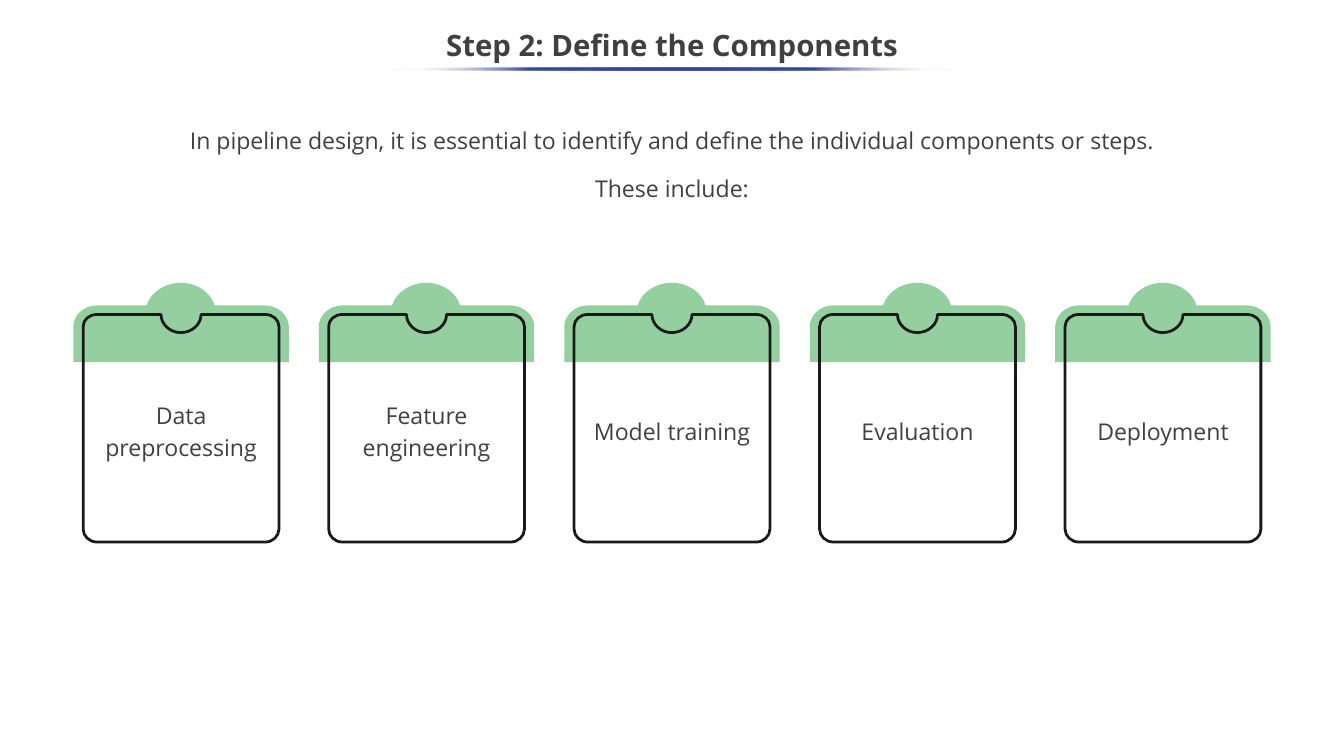
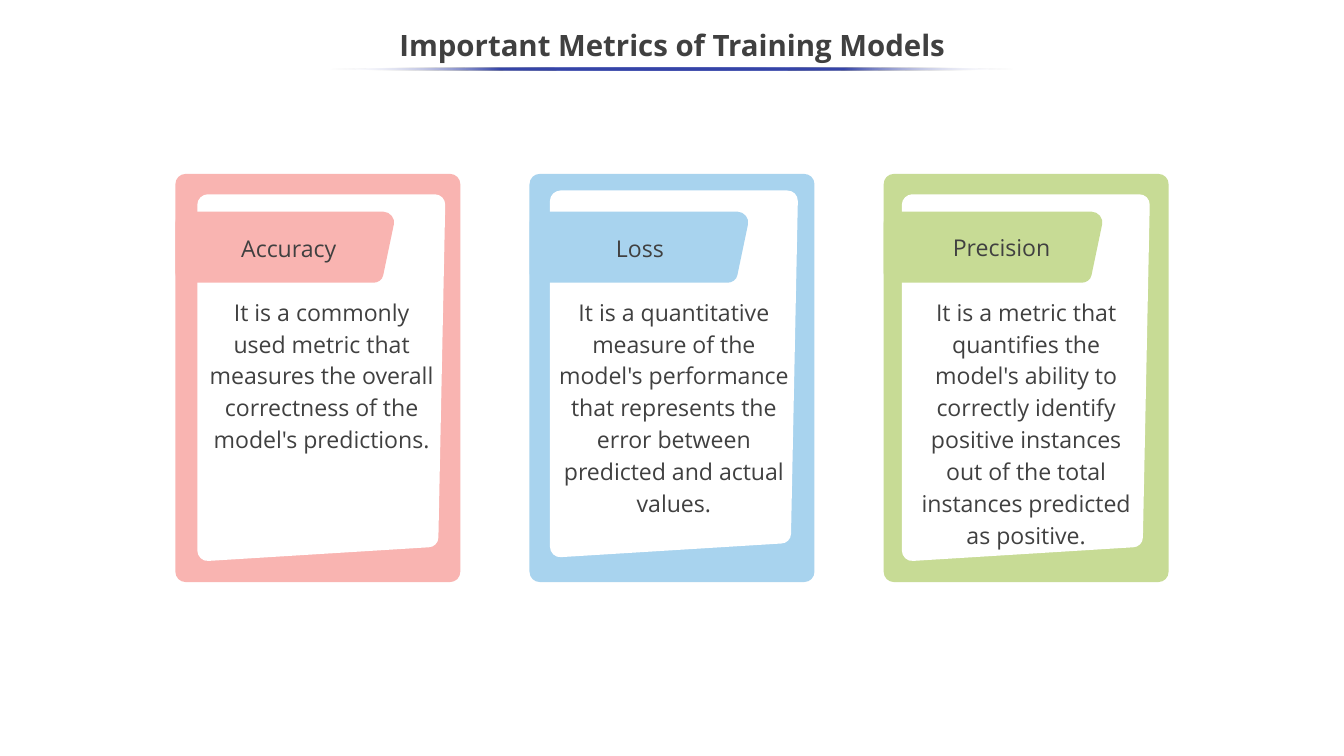
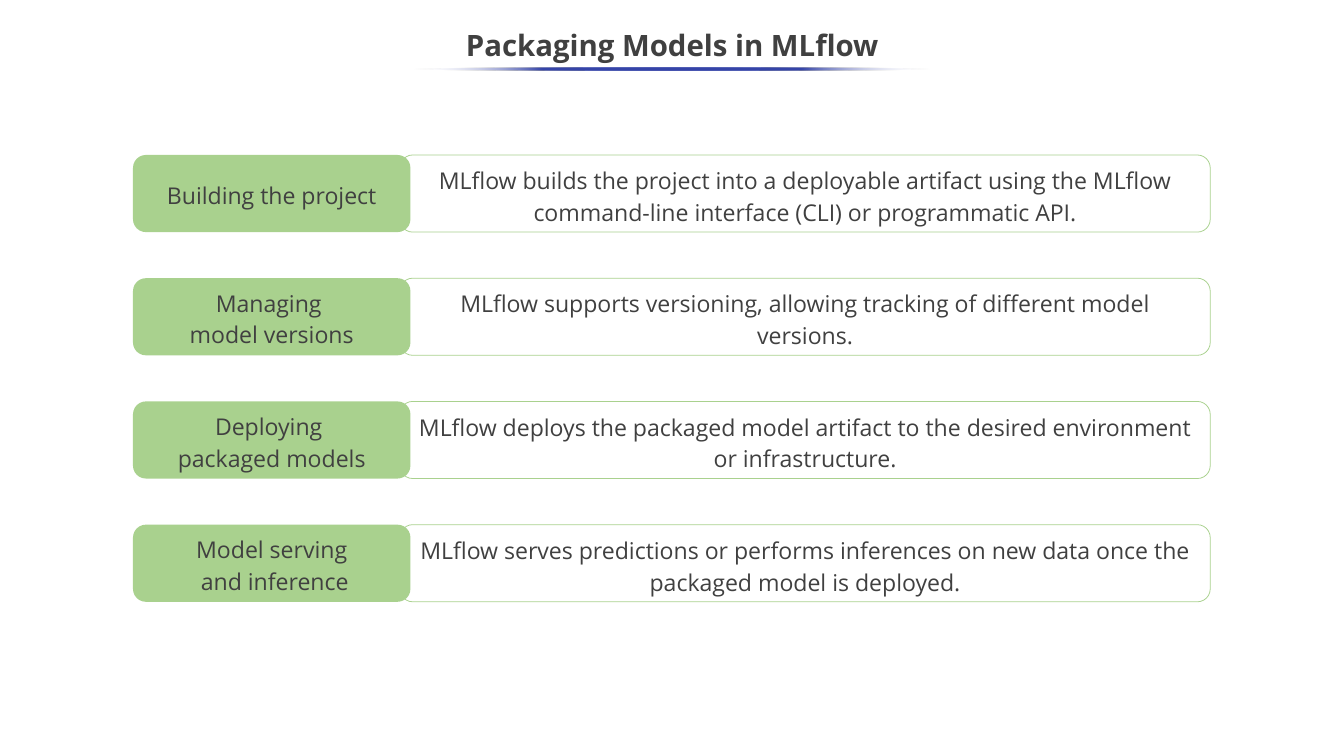
from collections import namedtuple

from lxml.etree import SubElement
from pptx import Presentation
from pptx.dml.color import RGBColor
from pptx.enum.shapes import MSO_SHAPE as Preset
from pptx.enum.text import MSO_ANCHOR as Anchor, MSO_AUTO_SIZE as AutoSize, PP_ALIGN as Align
from pptx.oxml.ns import qn
from pptx.util import Inches, Pt

INK = RGBColor(0x40, 0x40, 0x40)
WHITE = RGBColor(0xFF, 0xFF, 0xFF)
INDIGO = RGBColor(0x36, 0x45, 0xA9)
OUTLINE = RGBColor(0x19, 0x19, 0x19)
CLIP_GREEN = RGBColor(0x93, 0xCF, 0x9F)
ROW_GREEN = RGBColor(0xA9, 0xD1, 0x8E)
PINK = RGBColor(0xF9, 0xB4, 0xB1)
SKY = RGBColor(0xA8, 0xD3, 0xEE)
LIME = RGBColor(0xC7, 0xDB, 0x95)

FONT = "Open Sans"
BODY_SIZE = 22
SLIDE_WIDTH = 17.78

CLIP = [(2.85, 1.05), (2.85, 0.58), (2.85, 0.43, 2.71, 0.3, 2.53, 0.3),
        (1.87, 0.3), (1.82, 0.13, 1.64, 0, 1.42, 0),
        (1.21, 0, 1.02, 0.13, 0.97, 0.3), (0.31, 0.3),
        (0.14, 0.3, 0, 0.43, 0, 0.58), (0, 1.05)]
KNOB = [(0, 0.12), (0, 0.06, 0.06, 0, 0.13, 0), (0.2, 0, 0.26, 0.06, 0.26, 0.12),
        (0.26, 0.18, 0.2, 0.23, 0.13, 0.23), (0.06, 0.23, 0, 0.18, 0, 0.12)]
BOARD = [(2.41, 0), (1.56, 0), (1.56, 0.13, 1.44, 0.24, 1.29, 0.24),
         (1.15, 0.24, 1.03, 0.13, 1.03, 0), (0.18, 0),
         (0.08, 0, 0, 0.07, 0, 0.16), (0, 2.84),
         (0, 2.93, 0.08, 3.01, 0.18, 3.01), (2.41, 3.01),
         (2.51, 3.01, 2.59, 2.93, 2.59, 2.84), (2.59, 0.16),
         (2.59, 0.07, 2.51, 0, 2.41, 0)]
FRAME = [(3.63, 5.4), (0.14, 5.4), (0.06, 5.4, 0, 5.34, 0, 5.26),
         (0, 0.14), (0, 0.06, 0.06, 0, 0.14, 0), (3.63, 0),
         (3.71, 0, 3.77, 0.06, 3.77, 0.14), (3.77, 5.26),
         (3.77, 5.34, 3.71, 5.4, 3.63, 5.4)]
PAGE = [(3.06, 4.67), (0.15, 4.85), (0.07, 4.86, 0, 4.79, 0, 4.71),
        (0, 0.14), (0, 0.06, 0.07, 0, 0.14, 0), (3.14, 0),
        (3.22, 0, 3.28, 0.06, 3.28, 0.14), (3.19, 4.54),
        (3.19, 4.61, 3.13, 4.67, 3.06, 4.67)]
RIBBON = [(2.62, 0.94), (0.14, 0.94), (0.06, 0.94, 0, 0.88, 0, 0.81),
          (0, 0.15), (0, 0.07, 0.06, 0, 0.14, 0), (2.75, 0),
          (2.84, 0, 2.91, 0.09, 2.89, 0.17), (2.75, 0.84),
          (2.74, 0.9, 2.68, 0.94, 2.62, 0.94)]

Metric = namedtuple("Metric", "name meaning color page label body")

COMPONENTS = [("Data preprocessing", 2), ("Feature engineering", 2),
              ("Model training", 1), ("Evaluation", 1), ("Deployment", 1)]
METRICS = [
    Metric("Accuracy",
           "It is a commonly used metric that measures the overall correctness "
           "of the model's predictions.",
           PINK, (0.29, 0.27), (0.51, 0.75, 1.98, 0.47), (0.3, 1.54, 3.27, 2.2)),
    Metric("Loss",
           "It is a quantitative measure of the model's performance that represents "
           "the error between predicted and actual values.",
           SKY, (0.27, 0.22), (0.47, 0.75, 1.98, 0.47), (0.27, 1.54, 3.28, 3.05)),
    Metric("Precision",
           "It is a metric that quantifies the model's ability to correctly identify "
           "positive instances out of the total instances predicted as positive.",
           LIME, (0.24, 0.27), (0.43, 0.74, 2.26, 0.47), (0.35, 1.54, 3.07, 3.48)),
]
STAGES = [
    (["Building the project"],
     "MLflow builds the project into a deployable artifact using the MLflow "
     "command-line interface (CLI) or programmatic API."),
    (["Managing ", "model versions"],
     "MLflow supports versioning, allowing tracking of different model versions."),
    (["Deploying ", "packaged models"],
     "MLflow deploys the packaged model artifact to the desired environment "
     "or infrastructure."),
    (["Model serving", " and inference"],
     "MLflow serves predictions or performs inferences on new data once the "
     "packaged model is deployed."),
]


def paint(shape, fill=None, line=None, line_width=0.75):
    shape.shadow.inherit = False
    if fill is None:
        shape.fill.background()
    else:
        shape.fill.solid()
        shape.fill.fore_color.rgb = fill
    if line is None:
        shape.line.fill.background()
    else:
        shape.line.color.rgb = line
        shape.line.width = Pt(line_width)


def write(shape, lines, size=BODY_SIZE, bold=False, spacing=1.15,
          anchor=Anchor.TOP, fit=AutoSize.NONE):
    frame = shape.text_frame
    frame.word_wrap = True
    frame.auto_size = fit
    frame.vertical_anchor = anchor
    for index, line in enumerate(lines):
        paragraph = frame.add_paragraph() if index else frame.paragraphs[0]
        paragraph.alignment = Align.CENTER
        paragraph.line_spacing = spacing
        run = paragraph.add_run()
        run.text = line
        run.font.name = FONT
        run.font.size = Pt(size)
        run.font.bold = bold
        run.font.color.rgb = INK
    return frame


def add_text(slide, left, top, width, height, lines, **style):
    box = slide.shapes.add_textbox(*map(Inches, (left, top, width, height)))
    return write(box, lines, **style)


def add_preset(slide, preset, left, top, width, height, **look):
    shape = slide.shapes.add_shape(preset, *map(Inches, (left, top, width, height)))
    paint(shape, **look)
    return shape


def bend(shape, steps):
    segments = iter(list(shape._element.spPr.iter(qn("a:lnTo"))))
    for step in steps:
        corners = [next(segments) for _ in range(len(step) // 2)]
        if len(corners) == 3:
            curve = SubElement(corners[0].getparent(), qn("a:cubicBezTo"))
            corners[0].addprevious(curve)
            for corner in corners:
                curve.append(corner[0])
                corner.getparent().remove(corner)


def add_outline(slide, left, top, outline, **look):
    points = [(Inches(left + x), Inches(top + y))
              for step in outline for x, y in zip(step[::2], step[1::2])]
    builder = slide.shapes.build_freeform(*points[0])
    builder.add_line_segments(points[1:], close=True)
    shape = builder.convert_to_shape()
    bend(shape, outline[1:])
    paint(shape, **look)


def add_underline(slide, width):
    glow = add_preset(slide, Preset.OVAL, (SLIDE_WIDTH - width) / 2, 0.89, width, 0.04)
    glow.fill.gradient()
    glow.fill.gradient_angle = 180
    stops = next(glow._element.spPr.iter(qn("a:gsLst")))
    for stop in list(stops):
        stops.remove(stop)
    for position in (0, 25, 50, 75, 100):
        edge = position in (0, 100)
        stop = SubElement(stops, qn("a:gs"), pos=str(position * 1000))
        color = SubElement(stop, qn("a:srgbClr"), val=str(WHITE if edge else INDIGO))
        if edge:
            SubElement(color, qn("a:alpha"), val="0")


def add_titled_slide(deck, heading, underline_width):
    slide = deck.slides.add_slide(deck.slide_layouts[5])
    title = slide.shapes.title
    title.left, title.top, title.width, title.height = map(
        Inches, (-0.01, 0.25, 17.8, 0.75))
    write(title, [heading], size=28, bold=True, spacing=0.9, anchor=Anchor.MIDDLE)
    add_underline(slide, underline_width)
    return slide


def add_clipboard(slide, left, top, label, line_count):
    add_outline(slide, left, top, CLIP, fill=CLIP_GREEN)
    add_outline(slide, left + 1.29, top + 0.3, KNOB, fill=CLIP_GREEN)
    add_outline(slide, left + 0.13, top + 0.42, BOARD, line=OUTLINE, line_width=2.64)
    height = 0.07 + 0.43 * line_count
    add_text(slide, left + 0.13, top + 1.93 - height / 2, 2.59, height, [label],
             fit=AutoSize.SHAPE_TO_FIT_TEXT)


def add_metric_card(slide, left, top, metric):
    add_outline(slide, left, top, FRAME, fill=metric.color)
    page_x, page_y = metric.page
    add_outline(slide, left + page_x, top + page_y, PAGE, fill=WHITE)
    add_outline(slide, left, top + 0.5, RIBBON, fill=metric.color)
    for (x, y, width, height), text, spacing in (
            (metric.label, metric.name, 1.0), (metric.body, metric.meaning, 1.15)):
        add_text(slide, left + x, top + y, width, height, [text], spacing=spacing,
                 fit=AutoSize.SHAPE_TO_FIT_TEXT)


def add_stage_row(slide, left, top, stage, detail):
    panel = add_preset(slide, Preset.ROUNDED_RECTANGLE, left + 3.53, top, 10.72, 1.02,
                       line=ROW_GREEN)
    write(panel, [detail], fit=AutoSize.SHAPE_TO_FIT_TEXT)
    tag = add_preset(slide, Preset.ROUNDED_RECTANGLE, left, top, 3.67, 1.02,
                     fill=ROW_GREEN)
    write(tag, stage, anchor=Anchor.MIDDLE)


def build_components(deck):
    slide = add_titled_slide(deck, "Step 2: Define the Components", 7.47)
    intro = add_text(slide, 1.4, 1.62, 14.98, 1.29, [
        "In pipeline design, it is essential to identify and define the "
        "individual components or steps.",
        "These include:"])
    intro.margin_top = intro.margin_bottom = 0
    intro.paragraphs[1].line_spacing = 1.35
    intro.paragraphs[1].space_before = Pt(10)
    first, last = 0.97, 13.96
    pitch = (last - first) / (len(COMPONENTS) - 1)
    for index, (label, line_count) in enumerate(COMPONENTS):
        add_clipboard(slide, first + index * pitch, 3.74, label, line_count)


def build_metrics(deck):
    slide = add_titled_slide(deck, "Important Metrics of Training Models", 9.06)
    first, last = 2.32, 11.69
    pitch = (last - first) / (len(METRICS) - 1)
    for index, metric in enumerate(METRICS):
        add_metric_card(slide, first + index * pitch, 2.3, metric)


def build_packaging(deck):
    slide = add_titled_slide(deck, "Packaging Models in MLflow", 6.84)
    for index, (stage, detail) in enumerate(STAGES):
        add_stage_row(slide, 1.76, 2.05 + index * 1.63, stage, detail)


def main():
    deck = Presentation()
    deck.slide_width = Inches(SLIDE_WIDTH)
    deck.slide_height = Inches(10)
    build_components(deck)
    build_metrics(deck)
    build_packaging(deck)
    deck.save("out.pptx")


if __name__ == "__main__":
    main()
